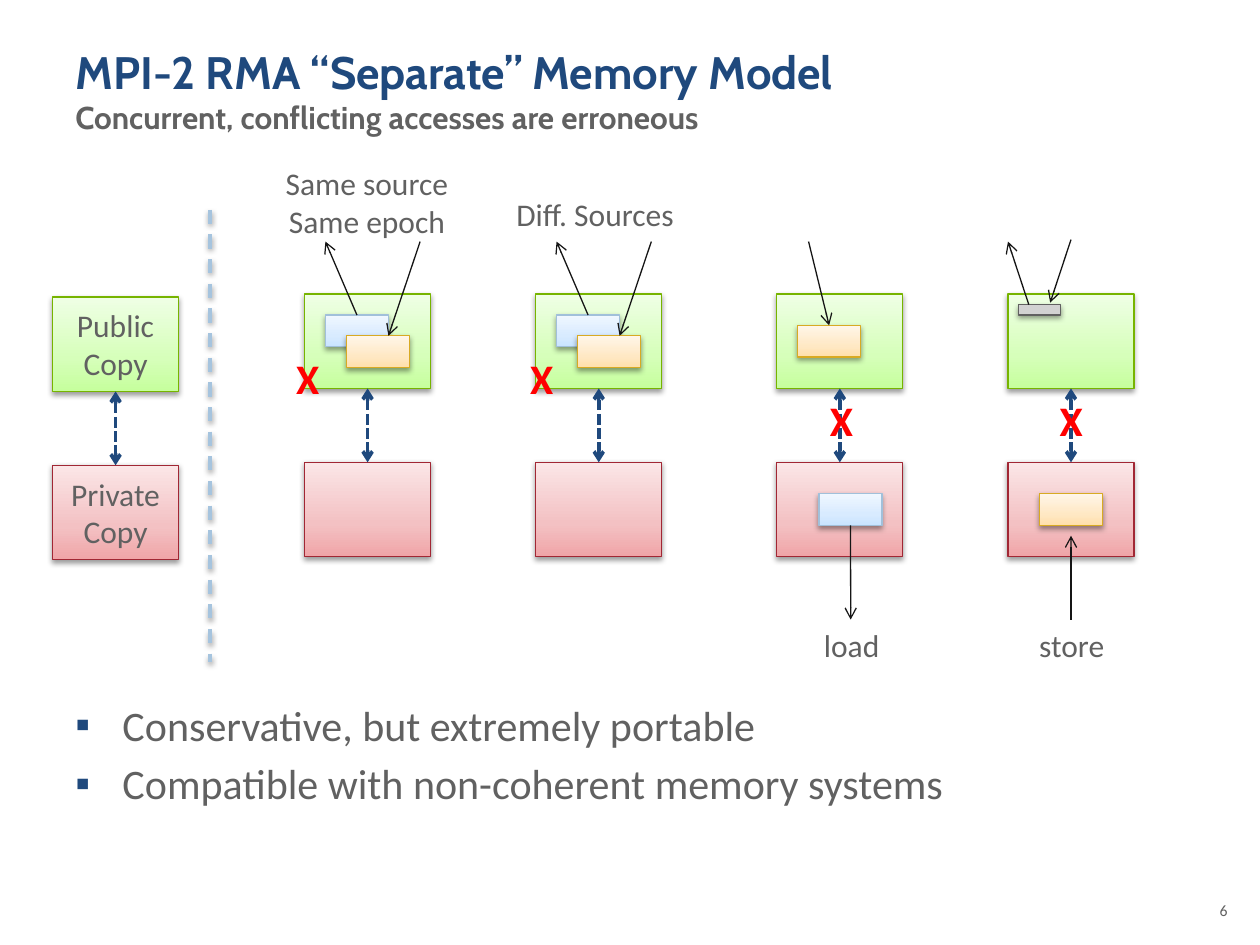
from collections import namedtuple

from lxml.etree import SubElement
from pptx import Presentation
from pptx.dml.color import RGBColor
from pptx.enum.dml import MSO_LINE
from pptx.enum.shapes import MSO_CONNECTOR, MSO_SHAPE
from pptx.enum.text import MSO_ANCHOR, MSO_AUTO_SIZE, PP_ALIGN
from pptx.oxml.ns import qn
from pptx.util import Cm, Pt

NAVY = RGBColor(0x1F, 0x49, 0x7D)
GRAY = RGBColor(0x61, 0x61, 0x61)
SILVER = RGBColor(0xD2, 0xD2, 0xD2)
BLACK = RGBColor(0x15, 0x15, 0x15)
RED = RGBColor(0xFF, 0x00, 0x00)
PALE_BLUE = RGBColor(0xA6, 0xC4, 0xDE)

# Outline colour and the gradient stops from bottom to top
Look = namedtuple("Look", "outline stops")
GREEN = Look(RGBColor(0x77, 0xB4, 0x00), ("C6FF9D", "D6FFBA", "EFFFE5"))
PINK = Look(RGBColor(0xA1, 0x27, 0x34), ("F0A5A8", "F3C1C3", "FBE6E7"))
BLUE = Look(RGBColor(0xA1, 0xC0, 0xDA), ("C9E4FF", "D8EBFF", "F0F7FF"))
ORANGE = Look(RGBColor(0xD8, 0xAA, 0x23), ("FFDFAB", "FFE8C4", "FFF6E9"))
STOP_POSITIONS = (0, 35000, 100000)

# A line end that is attached to a side of a box
Joint = namedtuple("Joint", "box side")
TOP, BOTTOM = 0, 2

# Grid in centimetres
COPY_WIDTH, COPY_HEIGHT, COPY_STEP = 2.54, 1.9, 3.39
ITEM_WIDTH, ITEM_HEIGHT = 1.27, 0.64
UNIT = 0.42
PUBLIC_TOP = 5.93
ACCESS_TOP, ACCESS_BOTTOM = 4.87, 12.49


class MemoryModelSlide:
    font = "Calibri"

    def __init__(self, deck):
        self.slide = deck.slides.add_slide(deck.slide_layouts[6])
        self.shapes = self.slide.shapes

    def format_text(self, frame, size, color, bold=False, align=None):
        for para in frame.paragraphs:
            para.alignment = align
            for span in para.runs:
                span.font.name = self.font
                span.font.size = Pt(size)
                span.font.bold = bold
                span.font.color.rgb = color

    def text(self, text, left, top, width, height, size=18, color=GRAY,
             bold=False, align=None, wrap=False):
        box = self.shapes.add_textbox(Cm(left), Cm(top), Cm(width), Cm(height))
        frame = box.text_frame
        frame.word_wrap = wrap
        frame.auto_size = MSO_AUTO_SIZE.NONE if wrap else MSO_AUTO_SIZE.SHAPE_TO_FIT_TEXT
        frame.text = text
        self.format_text(frame, size, color, bold, align)
        return frame

    def bullets(self, lines, left, top, width, height):
        frame = self.text("\n".join(lines), left, top, width, height, size=24, wrap=True)
        for index, para in enumerate(frame.paragraphs):
            if index:
                para.space_before = Pt(4.8)
            properties = para._p.get_or_add_pPr()
            properties.set("marL", str(Cm(0.95)))
            properties.set("indent", str(-Cm(0.95)))
            color = SubElement(properties, qn("a:buClr"))
            SubElement(color, qn("a:srgbClr"), val=str(NAVY))
            SubElement(properties, qn("a:buFont"), typeface="Arial")
            SubElement(properties, qn("a:buChar"), char="▪")

    def cast_shadow(self, effects):
        shadow = SubElement(effects, qn("a:outerShdw"), blurRad=str(Pt(3.1)),
                            dist=str(Pt(1.6)), dir="5400000", rotWithShape="0")
        color = SubElement(shadow, qn("a:srgbClr"), val="000000")
        SubElement(color, qn("a:alpha"), val="38000")

    def rectangle(self, left, top, width, height, outline):
        box = self.shapes.add_shape(
            MSO_SHAPE.RECTANGLE, Cm(left), Cm(top), Cm(width), Cm(height))
        box.line.color.rgb = outline
        box.line.width = Pt(0.75)
        box.shadow.inherit = False
        self.cast_shadow(box._element.spPr.find(qn("a:effectLst")))
        return box

    def gradient_box(self, look, left, top, width, height, text=""):
        box = self.rectangle(left, top, width, height, look.outline)
        box.fill.gradient()
        box.fill.gradient_angle = 90
        stops = box._element.spPr.find(qn("a:gradFill")).find(qn("a:gsLst"))
        stops.clear()
        for position, color in zip(STOP_POSITIONS, look.stops):
            stop = SubElement(stops, qn("a:gs"), pos=str(position))
            SubElement(stop, qn("a:srgbClr"), val=color)
        if text:
            box.text_frame.text = text
            box.text_frame.vertical_anchor = MSO_ANCHOR.MIDDLE
            self.format_text(box.text_frame, 18, GRAY, align=PP_ALIGN.CENTER)
        return box

    def item(self, look, left, top):
        return self.gradient_box(look, left, top, ITEM_WIDTH, ITEM_HEIGHT)

    def line(self, start, end, color=BLACK, width=0.75, dash=None,
             heads=("tailEnd",), shadow=False):
        points = [(0, 0) if isinstance(point, Joint) else point for point in (start, end)]
        link = self.shapes.add_connector(
            MSO_CONNECTOR.STRAIGHT, *(Cm(value) for point in points for value in point))
        if isinstance(start, Joint):
            link.begin_connect(start.box, start.side)
        if isinstance(end, Joint):
            link.end_connect(end.box, end.side)
        link.line.color.rgb = color
        link.line.width = Pt(width)
        if dash:
            link.line.dash_style = dash
        properties = link._element.spPr
        for head in heads:
            SubElement(properties.find(qn("a:ln")), qn("a:" + head), type="arrow")
        effects = SubElement(properties, qn("a:effectLst"))
        if shadow:
            self.cast_shadow(effects)

    def copies(self, left, top=PUBLIC_TOP, labels=("", "")):
        public, private = (
            self.gradient_box(look, left, top + row * COPY_STEP, COPY_WIDTH, COPY_HEIGHT, label)
            for row, (look, label) in enumerate(zip((GREEN, PINK), labels)))
        self.line(Joint(public, BOTTOM), Joint(private, TOP), NAVY, 2,
                  MSO_LINE.SQUARE_DOT, ("headEnd", "tailEnd"))

    def cross(self, left, top):
        self.text("X", left, top, 0.99, 1.27, 24, RED, bold=True)


def main():
    deck = Presentation()
    deck.slide_width, deck.slide_height = Cm(25.4), Cm(19.05)
    page = MemoryModelSlide(deck)

    # Title, conclusions and page number
    title = page.text(
        "MPI-2 RMA “Separate” Memory Model\vConcurrent, conflicting accesses are erroneous",
        1.27, 0.76, 22.86, 2.62, 26, NAVY, bold=True, wrap=True)
    heading, subtitle = title.paragraphs[0].runs
    heading.font.name = subtitle.font.name = "Cabin"
    subtitle.font.size = Pt(18)
    subtitle.font.color.rgb = GRAY
    page.bullets(["Conservative, but extremely portable",
                  "Compatible with non-coherent memory systems"], 1.27, 13.97, 22.86, 3.05)
    page.text("6", 23.93, 18.03, 1.07, 1.02, 9, align=PP_ALIGN.RIGHT, wrap=True)

    # Legend and divider
    page.copies(1.06, 5.99, ("Public\nCopy", "Private\nCopy"))
    page.line((4.23, 4.23), (4.23, 13.34), PALE_BLUE, 2, MSO_LINE.DASH, (), shadow=True)

    # Overlapping remote accesses, from the same and from different sources
    for left, cross_left in ((6.14, 5.72), (10.8, 10.44)):
        page.copies(left)
        read = page.item(BLUE, left + UNIT, PUBLIC_TOP + UNIT)
        page.item(ORANGE, left + 2 * UNIT, PUBLIC_TOP + 2 * UNIT)
        page.line((left + 2.33, ACCESS_TOP), (left + 1.69, PUBLIC_TOP + 2 * UNIT))
        page.line(Joint(read, TOP), (left + UNIT, ACCESS_TOP))
        page.cross(cross_left, 6.99)
    source = page.text("Same source\nSame epoch", 5.51, 3.18, 3.81, 1.8)
    source.paragraphs[1].alignment = PP_ALIGN.CENTER
    page.text("Diff. Sources", 10.16, 3.81, 3.71, 1.02)

    # Remote write against a local load
    page.copies(15.66)
    written = page.item(ORANGE, 16.08, 6.56)
    loaded = page.item(BLUE, 16.51, 9.95)
    page.line((16.3, ACCESS_TOP), Joint(written, TOP))
    page.line(Joint(loaded, BOTTOM), (17.15, ACCESS_BOTTOM))
    page.cross(16.48, 7.82)
    page.text("load", 16.36, 12.49, 1.65, 1.02)

    # Remote accesses against a local store
    page.copies(20.32)
    shared = page.rectangle(20.53, 6.14, 0.85, 0.21, GRAY)
    shared.fill.solid()
    shared.fill.fore_color.rgb = SILVER
    page.item(ORANGE, 20.96, 9.95)
    page.line((21.59, ACCESS_BOTTOM), (21.59, 10.8))
    page.cross(21.11, 7.82)
    page.line((21.59, 4.83), (21.17, 6.1))
    page.line((20.74, 6.14), (20.32, ACCESS_TOP))
    page.text("store", 20.7, 12.49, 1.83, 1.02)

    deck.save("out.pptx")


if __name__ == "__main__":
    main()
